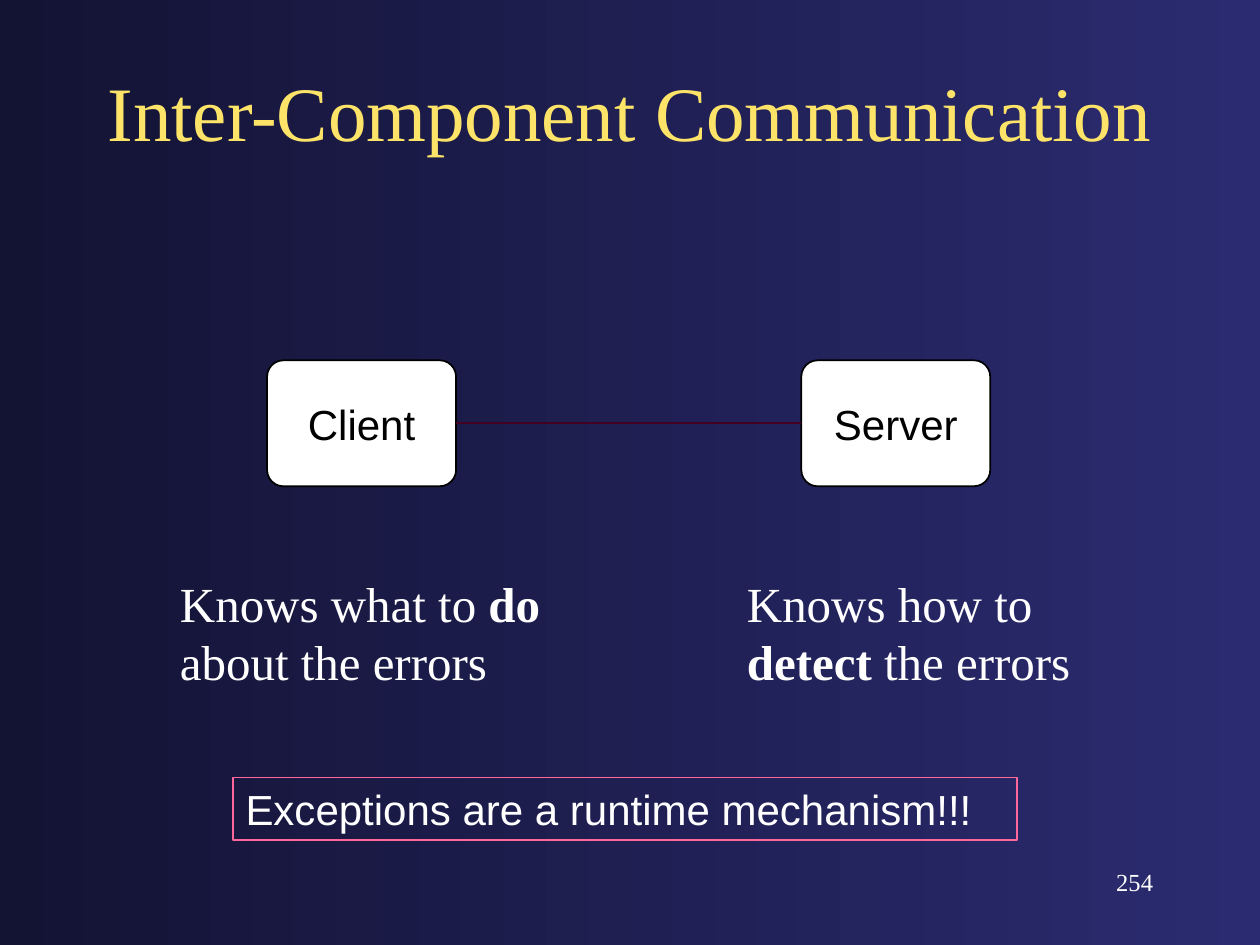
from pptx import Presentation
from pptx.dml.color import RGBColor
from pptx.enum import shapes, text
from pptx.oxml.ns import qn
from pptx.util import Inches, Pt

COLORS = {
    "right": "2B2B71",
    "left": "131334",
    "title": "FDE469",
    "text": "FFFFFF",
    "node": "FFFFFF",
    "ink": "000000",
    "link": "440022",
    "frame": "FF6699",
}
SERIF, SANS = "Times New Roman", "Arial"


def color(name):
    return RGBColor.from_string(COLORS[name])


def write(shape, spans, size, font, ink, align=text.PP_ALIGN.LEFT,
          anchor=text.MSO_ANCHOR.TOP):
    """Fill a shape with one paragraph of (wording, bold) spans."""
    frame = shape.text_frame
    frame.word_wrap = True
    frame.auto_size = text.MSO_AUTO_SIZE.NONE
    frame.vertical_anchor = anchor
    para = frame.paragraphs[0]
    para.alignment = align
    para.font.size = Pt(size)
    para.font.name = font
    para.font.color.rgb = color(ink)
    for wording, bold in spans:
        span = para.add_run()
        span.text = wording
        if bold:
            span.font.bold = True


def paint_background(page):
    fill = page.background.fill
    fill.gradient()
    fill.gradient_angle = 180
    for stop, name in zip(fill.gradient_stops, ("right", "left")):
        stop.color.rgb = color(name)


def place_title(page, left, top, width, height, wording):
    title = page.shapes.title
    title.left, title.top = Inches(left), Inches(top)
    title.width, title.height = Inches(width), Inches(height)
    write(title, [(wording, False)], 44, SERIF, "title",
          text.PP_ALIGN.CENTER, text.MSO_ANCHOR.MIDDLE)


def add_node(page, left, top, width, height, label):
    node = page.shapes.add_shape(
        shapes.MSO_SHAPE.ROUNDED_RECTANGLE,
        Inches(left), Inches(top), Inches(width), Inches(height))
    node.adjustments[0] = 0.13
    node.shadow.inherit = False
    node.fill.solid()
    node.fill.fore_color.rgb = color("node")
    node.line.color.rgb = color("ink")
    node.line.width = Pt(1)
    write(node, [(label, False)], 24, SANS, "ink",
          text.PP_ALIGN.CENTER, text.MSO_ANCHOR.MIDDLE)
    return node


def add_link(page, start, end):
    """Join the left side of start to the right side of end."""
    link = page.shapes.add_connector(
        shapes.MSO_CONNECTOR.STRAIGHT, 0, 0, 0, 0)
    link.begin_connect(start, 1)
    link.end_connect(end, 3)
    link.line.color.rgb = color("link")
    link.line.width = Pt(1)
    properties = link._element.spPr
    properties.append(properties.makeelement(qn("a:effectLst"), {}))


def add_text(page, left, top, width, height, spans, size, **style):
    box = page.shapes.add_textbox(
        Inches(left), Inches(top), Inches(width), Inches(height))
    write(box, spans, size, SERIF, "text", **style)


def add_conclusion(page, left, top, width, height, wording):
    box = page.shapes.add_shape(
        shapes.MSO_SHAPE.RECTANGLE,
        Inches(left), Inches(top), Inches(width), Inches(height))
    box.shadow.inherit = False
    box.fill.background()
    box.line.color.rgb = color("frame")
    box.line.width = Pt(1)
    write(box, [(wording, False)], 24, SANS, "text")


def main():
    deck = Presentation()
    deck.slide_width, deck.slide_height = Inches(10), Inches(7.5)
    page = deck.slides.add_slide(deck.slide_layouts.get_by_name("Title Only"))
    paint_background(page)
    place_title(page, 0.75, 0.25, 8.5, 1.25, "Inter-Component Communication")

    server = add_node(page, 6.36, 2.86, 1.5, 1, "Server")
    client = add_node(page, 2.12, 2.86, 1.5, 1, "Client")
    add_link(page, server, client)

    add_text(page, 1.33, 4.5, 3.25, 1.04,
             [("Knows what to ", False), ("do", True),
              (" about the errors", False)], 28)
    add_text(page, 5.83, 4.5, 3, 1.04,
             [("Knows how to ", False), ("detect", True),
              (" the errors", False)], 28)
    add_conclusion(page, 1.85, 6.17, 6.22, 0.5,
                   "Exceptions are a runtime mechanism!!!")
    add_text(page, 7.17, 6.83, 2.08, 0.5, [("254", False)], 14,
             align=text.PP_ALIGN.RIGHT)
    deck.save("out.pptx")


if __name__ == "__main__":
    main()
